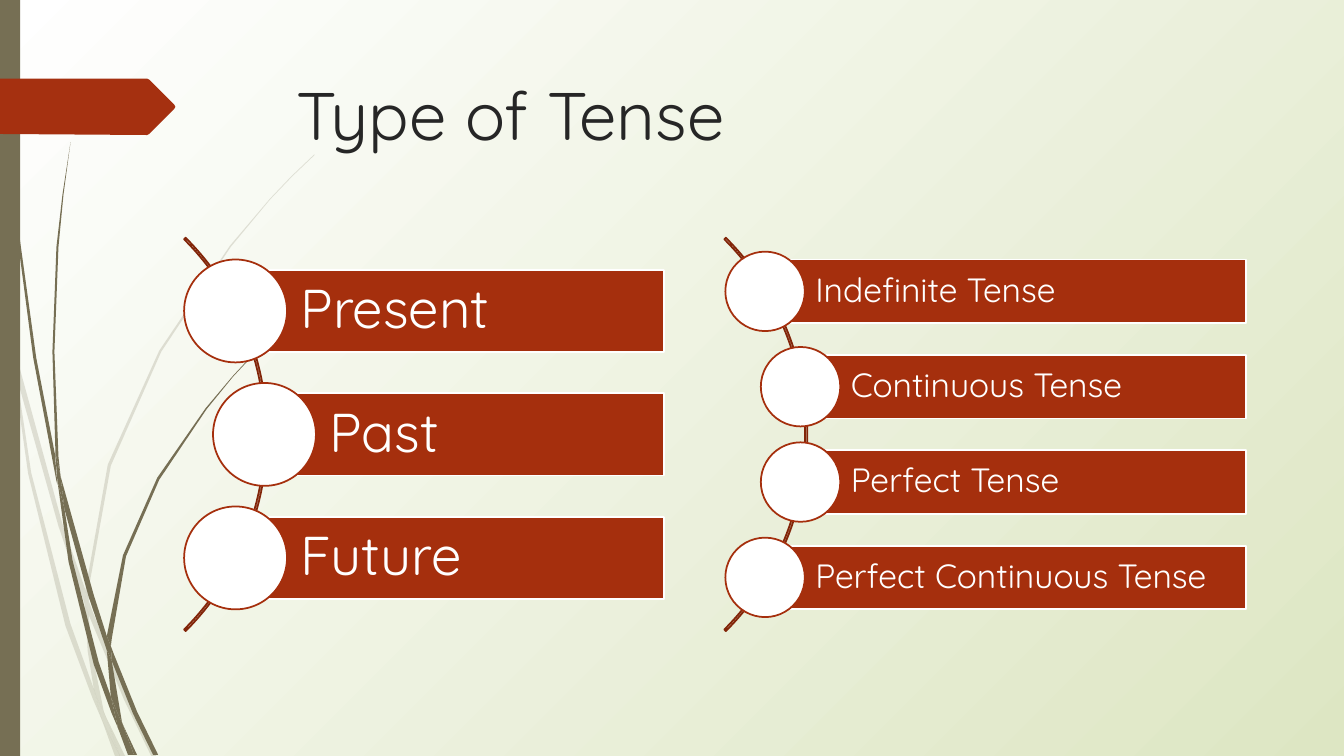
"""Build the "Type of Tense" slide with two curved lists over a grass backdrop."""
from dataclasses import dataclass
from math import sqrt

from lxml import etree
from pptx import Presentation
from pptx.dml.color import RGBColor
from pptx.enum.shapes import MSO_SHAPE
from pptx.enum.text import MSO_ANCHOR, MSO_AUTO_SIZE, PP_ALIGN
from pptx.oxml.ns import qn
from pptx.shapes.autoshape import Shape
from pptx.slide import Slide
from pptx.util import Pt

RECTANGLE, OVAL, BLOCK_ARC = MSO_SHAPE.RECTANGLE, MSO_SHAPE.OVAL, MSO_SHAPE.BLOCK_ARC
TOP, MIDDLE = MSO_ANCHOR.TOP, MSO_ANCHOR.MIDDLE
LEFT = PP_ALIGN.LEFT
NO_AUTOFIT = MSO_AUTO_SIZE.NONE

WHITE = RGBColor(0xFF, 0xFF, 0xFF)
PALE_GREEN = RGBColor(0xDD, 0xE6, 0xC3)
OLIVE = RGBColor(0x76, 0x6F, 0x54)
TAG_RED = RGBColor(0xA5, 0x30, 0x10)
BAR_RED = RGBColor(0xA5, 0x2F, 0x0D)
ARC_RED = RGBColor(0x82, 0x25, 0x09)
TITLE_GREY = RGBColor(0x26, 0x26, 0x26)

FONT = "Quicksand"
OUTLINE_WIDTH = 1.25
FREEFORM_UNIT = Pt(0.72)
ARC_RADIUS = 198.7
ARC_CENTRE_Y = 310.3
ARC_TO_CIRCLE = 1.9

Outline = list[tuple[int, int]]

PALE_BLADES: list[Outline] = [
    [(11, 350), (9, 322), (0, 282), (0, 299), (10, 344)],
    [(58, 522), (84, 599), (85, 586), (62, 520), (14, 345), (17, 376)],
    [(92, 607), (88, 596), (88, 610), (123, 694), (150, 750), (155, 750), (127, 692)],
    [(119, 750), (124, 750), (105, 711)],
    [(93, 683), (70, 619), (31, 469), (17, 376), (11, 350), (28, 470), (65, 621),
     (92, 693), (101, 714), (99, 707)],
    [(84, 599), (87, 646), (93, 683), (96, 692), (105, 711), (103, 706), (91, 646),
     (88, 610), (88, 608)],
    [(88, 584), (110, 462), (160, 349), (229, 245), (268, 198), (290, 175), (312, 154),
     (312, 153), (289, 175), (268, 197), (228, 244), (158, 348), (107, 461), (85, 584),
     (85, 586), (88, 596)],
    [(101, 714), (114, 750), (119, 750)],
    [(88, 608), (88, 610), (88, 596), (85, 586), (84, 599)],
    [(96, 692), (93, 683), (99, 707), (101, 714), (119, 750), (105, 711)],
]
DARK_BLADES: list[Outline] = [
    [(7, 110), (17, 233), (33, 355), (56, 477), (57, 481), (55, 457), (55, 453),
     (36, 355), (19, 232), (8, 109), (5, 48), (4, 0), (3, 0), (4, 48)],
    [(88, 592), (106, 645), (106, 633), (106, 631), (93, 590), (60, 472), (64, 505)],
    [(113, 649), (110, 641), (111, 656), (132, 708), (152, 749), (157, 749), (136, 706)],
    [(110, 691), (98, 657), (72, 556), (64, 505), (57, 477), (68, 557), (93, 659),
     (111, 708), (117, 722), (116, 717)],
    [(60, 472), (58, 453), (54, 349), (58, 245), (63, 193), (70, 141), (62, 193),
     (56, 245), (52, 349), (55, 449)],
    [(133, 749), (136, 749), (122, 719)],
    [(57, 477), (64, 505), (60, 472), (55, 449), (55, 453)],
    [(111, 633), (125, 552), (158, 476), (205, 406), (231, 374), (245, 359), (261, 344),
     (260, 344), (245, 358), (231, 373), (204, 405), (156, 474), (122, 551), (106, 631),
     (110, 641)],
    [(117, 722), (127, 749), (131, 749)],
    [(106, 645), (110, 691), (116, 706), (122, 719), (121, 716), (111, 656), (109, 651)],
    [(106, 645), (109, 651), (111, 656), (110, 641), (106, 631), (106, 633)],
    [(116, 706), (110, 691), (116, 717), (117, 722), (130, 749), (133, 749), (122, 719)],
]
TAG: Outline = [(173, 108), (148, 133), (146, 134), (0, 133), (0, 78), (146, 78),
                (148, 79), (173, 104), (174, 106)]


@dataclass(frozen=True)
class CurvedList:
    """A list of bars whose circles sit along an arc."""

    labels: tuple[str, ...]
    arc_centre_x: float
    bar_right: float
    bar_height: float
    font_size: float


TENSE_LISTS = (
    CurvedList(("Indefinite Tense", "Continuous Tense", "Perfect Tense",
                "Perfect Continuous Tense"), 378, 889.9, 45.4, 24),
    CurvedList(("Present", "Past", "Future"), -7.9, 474.4, 58.8, 39),
)


def paint_background(slide: Slide) -> None:
    """Fill the background with a gradient radiating from the top left corner."""
    fill = slide.background.fill
    fill.gradient()
    for stop, colour in zip(fill.gradient_stops, (WHITE, PALE_GREEN)):
        stop.color.rgb = colour
    gradient = slide.element.find(".//" + qn("a:gradFill"))
    gradient.remove(gradient.find(qn("a:lin")))
    circle = etree.SubElement(gradient, qn("a:path"), {"path": "circle"})
    etree.SubElement(circle, qn("a:fillToRect"), {"r": "100000", "b": "100000"})


def add_outline(slide: Slide, points: Outline, colour: RGBColor, opacity: int = 100) -> None:
    """Draw a closed filled outline with the given opacity in percent."""
    builder = slide.shapes.build_freeform(*points[0], scale=FREEFORM_UNIT)
    builder.add_line_segments(points[1:], close=True)
    shape = builder.convert_to_shape()
    shape.shadow.inherit = False
    shape.fill.solid()
    shape.fill.fore_color.rgb = colour
    shape.line.fill.background()
    if opacity < 100:
        colour_element = shape.element.spPr.find(".//" + qn("a:srgbClr"))
        etree.SubElement(colour_element, qn("a:alpha"), {"val": str(opacity * 1000)})


def add_preset(slide: Slide, kind: MSO_SHAPE, left: float, top: float, width: float,
               height: float, fill: RGBColor | None, line: RGBColor | None) -> Shape:
    """Add a preset shape with flat fill and outline."""
    shape = slide.shapes.add_shape(kind, Pt(left), Pt(top), Pt(width), Pt(height))
    shape.shadow.inherit = False
    if fill is None:
        shape.fill.background()
    else:
        shape.fill.solid()
        shape.fill.fore_color.rgb = fill
    if line is None:
        shape.line.fill.background()
    else:
        shape.line.color.rgb = line
        shape.line.width = Pt(OUTLINE_WIDTH)
    return shape


def write_text(shape: Shape, text: str, size: float, colour: RGBColor) -> None:
    """Set left-aligned text in the slide font."""
    shape.text_frame.text = text
    shape.text_frame.word_wrap = True
    paragraph = shape.text_frame.paragraphs[0]
    paragraph.alignment = LEFT
    paragraph.font.name = FONT
    paragraph.font.size = Pt(size)
    paragraph.font.color.rgb = colour


def add_curved_list(slide: Slide, tenses: CurvedList) -> None:
    """Draw the arc, then a bar and a circle for each label."""
    arc = add_preset(slide, BLOCK_ARC, tenses.arc_centre_x - ARC_RADIUS,
                     ARC_CENTRE_Y - ARC_RADIUS, 2 * ARC_RADIUS, 2 * ARC_RADIUS, None, ARC_RED)
    for index, adjustment in enumerate((189, 27, 0.004)):
        arc.adjustments[index] = adjustment
    height = tenses.bar_height
    pitch, diameter = 1.5 * height, 1.25 * height
    for index, label in enumerate(tenses.labels):
        offset = (index - (len(tenses.labels) - 1) / 2) * pitch
        centre_y = ARC_CENTRE_Y + offset
        left = tenses.arc_centre_x + sqrt(ARC_RADIUS**2 - offset**2) - ARC_TO_CIRCLE
        bar = add_preset(slide, RECTANGLE, left, centre_y - height / 2,
                         tenses.bar_right - left, height, BAR_RED, WHITE)
        write_text(bar, label, tenses.font_size, WHITE)
        frame = bar.text_frame
        frame.vertical_anchor = MIDDLE
        frame.margin_left = Pt(0.79 * height)
        frame.margin_top = frame.margin_right = frame.margin_bottom = Pt(0.2 * tenses.font_size)
        frame.paragraphs[0].line_spacing = 0.9
        add_preset(slide, OVAL, left - diameter / 2, centre_y - diameter / 2,
                   diameter, diameter, WHITE, BAR_RED)


def format_title(slide: Slide) -> None:
    """Place and style the title placeholder."""
    title = slide.shapes.title
    title.left, title.top, title.width, title.height = Pt(204.5), Pt(49), Pt(702), Pt(100.8)
    write_text(title, "Type of Tense", 48, TITLE_GREY)
    title.text_frame.vertical_anchor = TOP
    title.text_frame.auto_size = NO_AUTOFIT


def main() -> None:
    """Assemble and save the presentation."""
    presentation = Presentation()
    presentation.slide_width, presentation.slide_height = Pt(960), Pt(540)
    slide = presentation.slides.add_slide(presentation.slide_layouts[5])
    paint_background(slide)
    for blade in PALE_BLADES:
        add_outline(slide, blade, OLIVE, 20)
    for blade in DARK_BLADES:
        add_outline(slide, blade, OLIVE)
    add_preset(slide, RECTANGLE, 0, 0, 14.4, 540, OLIVE, None)
    add_outline(slide, TAG, TAG_RED)
    for tenses in TENSE_LISTS:
        add_curved_list(slide, tenses)
    format_title(slide)
    presentation.save("out.pptx")


if __name__ == "__main__":
    main()
